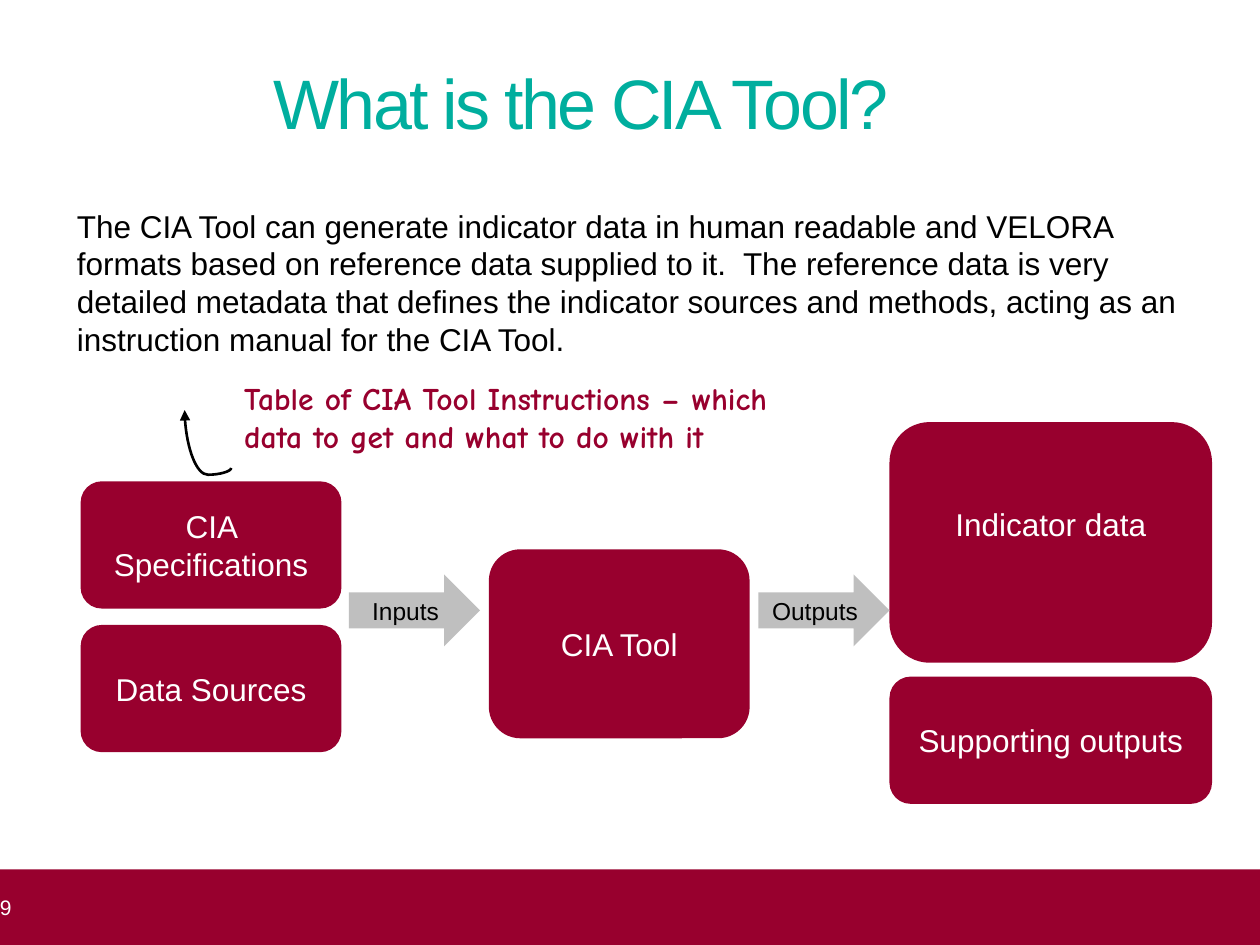
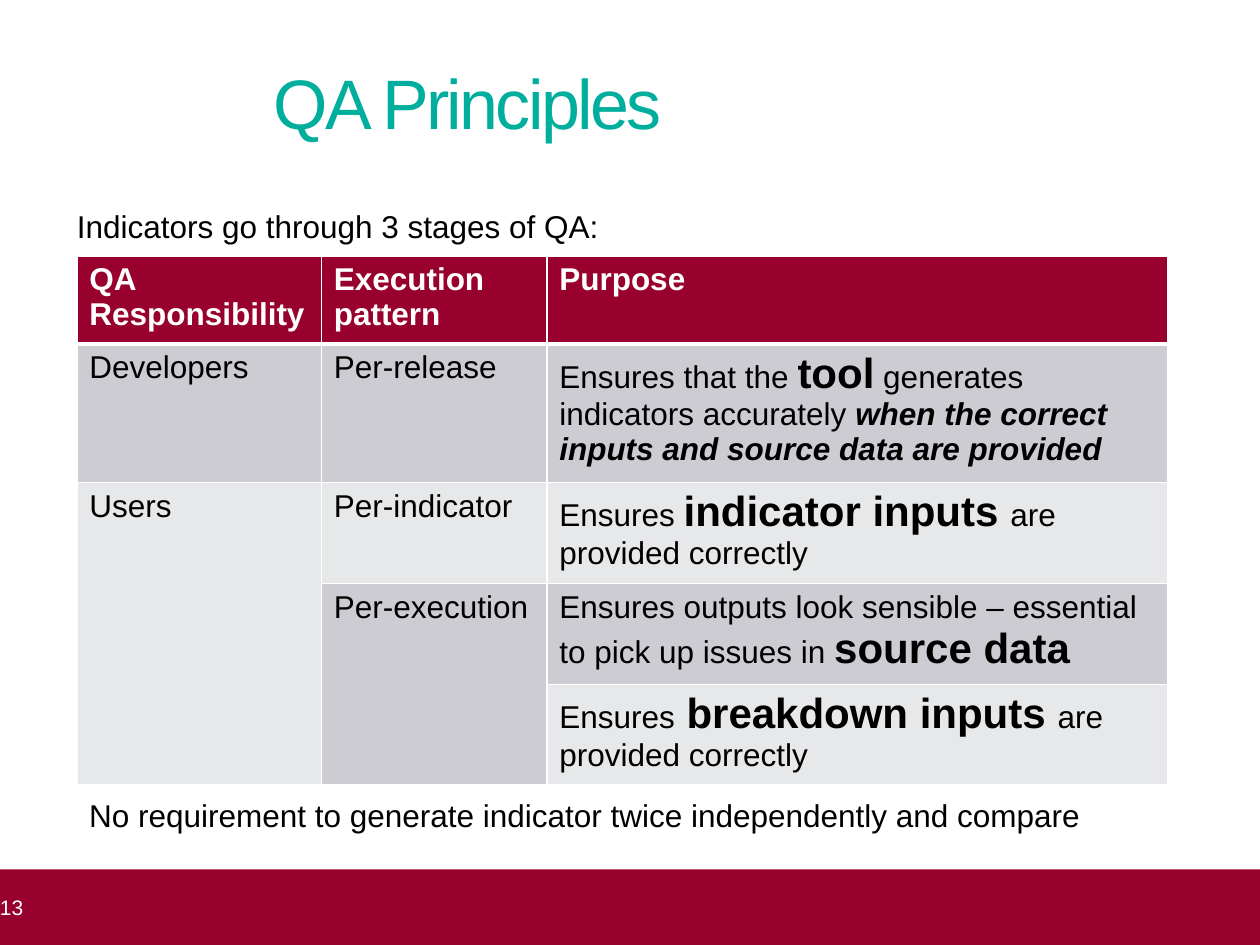
import lxml.etree
import pptx
import pptx.dml.color
import pptx.enum.shapes
import pptx.enum.text
import pptx.oxml
import pptx.oxml.ns
import pptx.util

Inches = pptx.util.Inches
Pt = pptx.util.Pt
SHAPE = pptx.enum.shapes.MSO_SHAPE
ALIGN = pptx.enum.text.PP_ALIGN
ANCHOR = pptx.enum.text.MSO_ANCHOR
qn = pptx.oxml.ns.qn

COLOURS = {
    "maroon": "98002E",
    "teal": "00AE9E",
    "white": "FFFFFF",
    "black": "000000",
    "arrow": "BFBFBF",
    "band_dark": "CCCCD2",
    "band_light": "E7E8EA",
}
BASE_FONT = {"name": "Arial", "size": Pt(18), "bold": False, "italic": False}
STRONG = {"bold": True}
LARGE = {"bold": True, "size": Pt(24)}
NO_INSETS = (0, 0, 0, 0)
DEFAULT_INSETS = (0.1, 0.05, 0.1, 0.05)


def rgb(colour):
    """Return the named palette colour."""
    return pptx.dml.color.RGBColor.from_string(COLOURS[colour])


def write(paragraph, pieces, colour="black", align=ALIGN.LEFT, **font_format):
    """Fill a paragraph with (text, font format) pieces."""
    paragraph.alignment = align
    for text, piece_format in pieces:
        run = paragraph.add_run()
        run.text = text
        for key, value in {**BASE_FONT, **font_format, **piece_format}.items():
            setattr(run.font, key, value)
        run.font.color.rgb = rgb(colour)


def set_frame(frame, insets, anchor):
    """Set wrapping, insets and anchoring of a text frame."""
    left, top, right, bottom = (Inches(inset) for inset in insets)
    settings = {
        "word_wrap": True,
        "vertical_anchor": anchor,
        "margin_left": left,
        "margin_top": top,
        "margin_right": right,
        "margin_bottom": bottom,
    }
    for key, value in settings.items():
        setattr(frame, key, value)


def add_text(slide, box, text, insets=NO_INSETS, **text_format):
    """Add a text box and return its paragraph."""
    frame = slide.shapes.add_textbox(*map(Inches, box)).text_frame
    set_frame(frame, insets, ANCHOR.TOP)
    paragraph = frame.paragraphs[0]
    write(paragraph, [(text, {})], **text_format)
    return paragraph


def add_block(slide, preset, box, text, fill="maroon", insets=DEFAULT_INSETS,
              colour="white", align=ALIGN.CENTER, **font_format):
    """Add a filled shape with a label."""
    block = slide.shapes.add_shape(preset, *map(Inches, box))
    block.shadow.inherit = False
    block.fill.solid()
    block.fill.fore_color.rgb = rgb(fill)
    block.line.fill.background()
    set_frame(block.text_frame, insets, ANCHOR.MIDDLE)
    write(block.text_frame.paragraphs[0], [(text, {})], colour, align, **font_format)


def add_page(deck, title, introduction, number):
    """Add a slide with title, introduction and numbered footer band."""
    slide = deck.slides.add_slide(deck.slide_layouts[6])
    add_text(slide, (0.61, 1.64, 8.78, 1.25), introduction)
    add_block(slide, SHAPE.RECTANGLE, (0, 6.9, 10, 0.6), str(number),
              insets=(0, 0, 0.1, 0), align=ALIGN.LEFT, size=Pt(12))
    heading = add_text(slide, (2.17, 0.47, 7.45, 0.45), title,
                       colour="teal", size=Pt(40))
    heading.runs[0].font._element.set("spc", "-150")
    return slide


def add_callout_arrow(slide, left, top, width, height):
    """Add the curved arrow that leads to the callout."""
    arrow = slide.shapes.add_connector(
        pptx.enum.shapes.MSO_CONNECTOR.CURVE,
        Inches(left), Inches(top + height), Inches(left + width), Inches(top))
    arrow.line.color.rgb = rgb("black")
    arrow.line.width = Pt(1.5)
    properties = arrow.element.spPr
    properties.find(qn("a:xfrm")).set("rot", "16200000")
    guides = properties.find(qn("a:prstGeom")).get_or_add_avLst()
    lxml.etree.SubElement(guides, qn("a:gd"), name="adj1", fmla="val -11700")
    lxml.etree.SubElement(properties.find(qn("a:ln")), qn("a:tailEnd"), type="triangle")
    lxml.etree.SubElement(properties, qn("a:effectLst"))


def add_flow(slide, left, top):
    """Draw the inputs, tool and outputs diagram."""
    input_width, output_width, low_height = 2.07, 2.56, 1.01
    output_left = left + 6.42
    blocks = [
        ("Data Sources", 0, 1.61, input_width, low_height),
        ("CIA Specifications", 0, 0.47, input_width, low_height),
        ("CIA Tool", 3.24, 1.01, input_width, 1.5),
        ("Supporting outputs", 6.42, 2.02, output_width, low_height),
    ]
    for text, x, y, width, height in blocks:
        add_block(slide, SHAPE.ROUNDED_RECTANGLE, (left + x, top + y, width, height), text)
    add_block(slide, SHAPE.ROUNDED_RECTANGLE, (output_left, top, output_width, 1.91),
              "Indicator data", insets=(0.1, 0.05, 0.1, 0.35))
    for text, x in (("Inputs", 2.13), ("Outputs", 5.38)):
        add_block(slide, SHAPE.RIGHT_ARROW, (left + x, top + 1.21, 1.04, 0.57), text,
                  fill="arrow", colour="black", size=Pt(14))
    add_text(slide, (left + 1.2, top - 0.39, 4.66, 0.71),
             "Table of CIA Tool Instructions – which data to get and what to do with it",
             insets=DEFAULT_INSETS, colour="maroon", name="Comic Neue", bold=True)
    add_callout_arrow(slide, left + 0.78, top - 0.05, 0.46, 0.37)


def style_cell(cell, fill, bottom_width):
    """Fill a cell and draw its white borders."""
    properties = cell._tc.get_or_add_tcPr()
    for side, width in (("L", 1), ("R", 1), ("T", 1), ("B", bottom_width)):
        border = lxml.etree.SubElement(properties, qn(f"a:ln{side}"), w=str(Pt(width)))
        paint = lxml.etree.SubElement(border, qn("a:solidFill"))
        lxml.etree.SubElement(paint, qn("a:srgbClr"), val=COLOURS["white"])
    cell.fill.solid()
    cell.fill.fore_color.rgb = rgb(fill)


def add_stages(slide, left, top):
    """Add the table of QA stages."""
    widths = (1.94, 1.79, 4.93)
    heights = (0.65, 1.02, 0.75, 0.75, 0.75)
    rows = [
        ([("QA Responsibility", STRONG)], [("Execution pattern", STRONG)],
         [("Purpose", STRONG)]),
        ([("Developers", {})], [("Per-release", {})],
         [("Ensures that the ", {}), ("tool", LARGE),
          (" generates indicators accurately ", {}),
          ("when the correct inputs and source data are provided",
           {"bold": True, "italic": True})]),
        ([("Users", {})], [("Per-indicator", {})],
         [("Ensures ", {}), ("indicator inputs ", LARGE), ("are provided correctly", {})]),
        ([], [("Per-execution", {})],
         [("Ensures outputs look sensible – essential to pick up issues in ", {}),
          ("source data", LARGE)]),
        ([], [],
         [("Ensures", {}), (" breakdown inputs ", LARGE), ("are provided correctly", {})]),
    ]
    stages = slide.shapes.add_table(
        len(rows), len(widths), Inches(left), Inches(top),
        Inches(sum(widths)), Inches(sum(heights))).table
    for column, width in zip(stages.columns, widths):
        column.width = Inches(width)
    for index, (row, height) in enumerate(zip(rows, heights)):
        stages.rows[index].height = Inches(height)
        header = index == 0
        fill = "maroon" if header else ("band_light", "band_dark")[index % 2]
        for position, pieces in enumerate(row):
            cell = stages.cell(index, position)
            style_cell(cell, fill, 3 if header else 1)
            write(cell.text_frame.paragraphs[0], pieces, "white" if header else "black")
    for first_row, column in ((2, 0), (3, 1)):
        stages.cell(first_row, column).merge(stages.cell(4, column))


def build_tool_slide(deck):
    """Build the slide that explains the tool."""
    slide = add_page(
        deck, "What is the CIA Tool?",
        "The CIA Tool can generate indicator data in human readable and VELORA formats "
        "based on reference data supplied to it.  The reference data is very detailed "
        "metadata that defines the indicator sources and methods, acting as an "
        "instruction manual for the CIA Tool.", 9)
    add_flow(slide, 0.64, 3.35)


def build_qa_slide(deck):
    """Build the slide on quality assurance stages."""
    slide = add_page(deck, "QA Principles", "Indicators go through 3 stages of QA:", 13)
    add_stages(slide, 0.61, 2.03)
    closing = add_text(
        slide, (0.61, 6.27, 8.66, 0.4),
        "No requirement to generate indicator twice independently and compare",
        insets=DEFAULT_INSETS)
    closing.space_before = Pt(6)


def main():
    """Build and save the deck."""
    deck = pptx.Presentation()
    deck.slide_width = Inches(10)
    deck.slide_height = Inches(7.5)
    build_tool_slide(deck)
    build_qa_slide(deck)
    deck.save("out.pptx")


if __name__ == "__main__":
    main()
